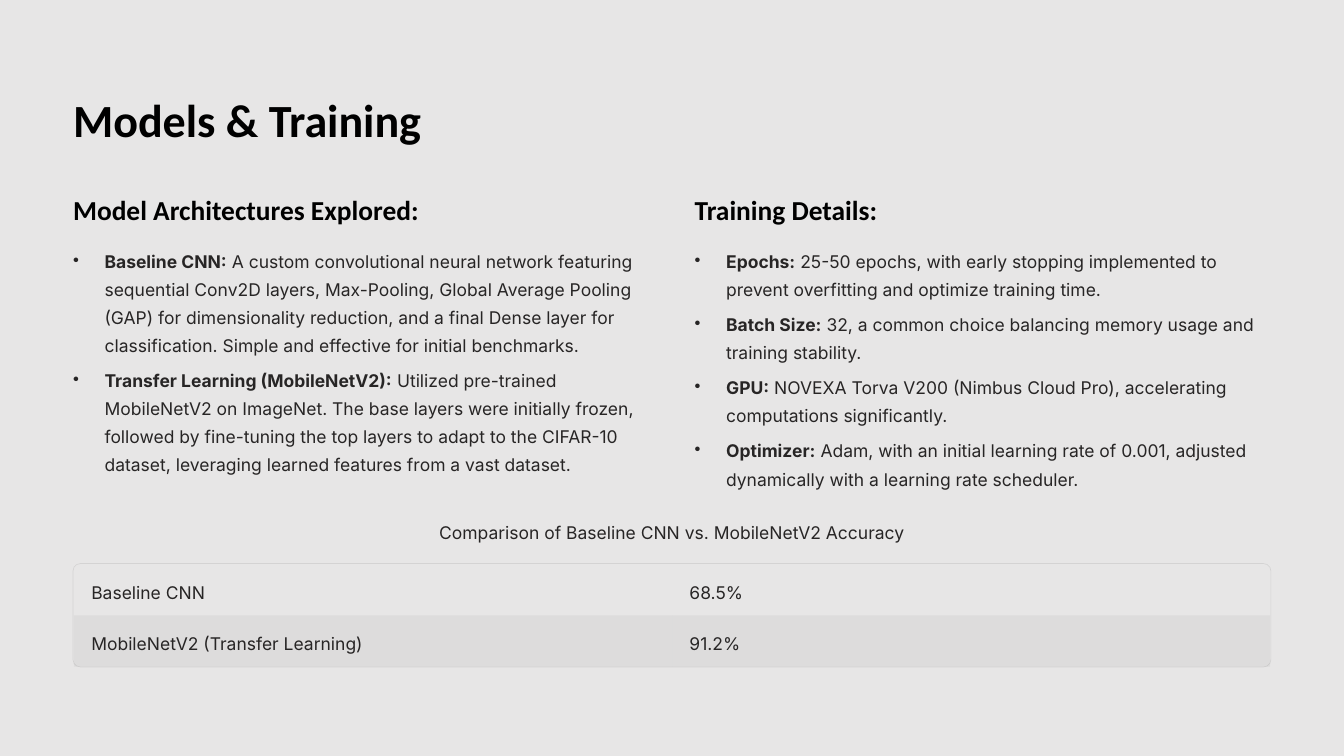
from dataclasses import dataclass

from lxml.etree import SubElement
from pptx import Presentation
from pptx.dml.color import RGBColor
from pptx.enum.shapes import MSO_SHAPE
from pptx.enum.text import MSO_ANCHOR, PP_ALIGN
from pptx.oxml.ns import qn
from pptx.slide import Slide
from pptx.text.text import TextFrame, _Paragraph
from pptx.util import Pt


@dataclass(frozen=True)
class TextStyle:
    name: str
    size: float
    color: str
    leading: float
    bold: bool = False


@dataclass(frozen=True)
class Theme:
    background: str = "E7E6E6"
    black: str = "000000"
    white: str = "FFFFFF"
    title: TextStyle = TextStyle("Calibri", 39.5, "000000", 49.5, True)
    heading: TextStyle = TextStyle("Calibri", 23.5, "000000", 29.5, True)
    body: TextStyle = TextStyle("Inter", 15, "272525", 24)


@dataclass(frozen=True)
class Box:
    left: float
    top: float
    width: float
    height: float

    def emu(self) -> tuple:
        return tuple(Pt(v) for v in (self.left, self.top, self.width, self.height))


@dataclass(frozen=True)
class Item:
    label: str
    detail: str


@dataclass(frozen=True)
class Column:
    left: float
    heading: str
    items: tuple


THEME = Theme()
LEFT = 62.64
CONTENT_WIDTH = 1026.72
COLUMN_WIDTH = 494.64
INDENT = 27
ITEM_GAP = 6
ROW_HEIGHT = 43.8
CELL_MARGINS = {"margin_left": Pt(15), "margin_right": Pt(15),
                "margin_top": Pt(9.5), "margin_bottom": Pt(9)}

COLUMNS = (
    Column(LEFT, "Model Architectures Explored:", (
        Item("Baseline CNN:", " A custom convolutional neural network featuring sequential "
             "Conv2D layers, Max-Pooling, Global Average Pooling (GAP) for dimensionality "
             "reduction, and a final Dense layer for classification. Simple and effective "
             "for initial benchmarks."),
        Item("Transfer Learning (MobileNetV2):", " Utilized pre-trained MobileNetV2 on "
             "ImageNet. The base layers were initially frozen, followed by fine-tuning the "
             "top layers to adapt to the CIFAR-10 dataset, leveraging learned features from "
             "a vast dataset."),
    )),
    Column(595.44, "Training Details:", (
        Item("Epochs:", " 25-50 epochs, with early stopping implemented to prevent "
             "overfitting and optimize training time."),
        Item("Batch Size:", " 32, a common choice balancing memory usage and training "
             "stability."),
        Item("GPU:", " NOVEXA Torva V200 (Nimbus Cloud Pro), accelerating computations "
             "significantly."),
        Item("Optimizer:", " Adam, with an initial learning rate of 0.001, adjusted "
             "dynamically with a learning rate scheduler."),
    )),
)
ACCURACY = (("Baseline CNN", "68.5%"), ("MobileNetV2 (Transfer Learning)", "91.2%"))


def set_all(target: object, values: dict) -> None:
    for name, value in values.items():
        setattr(target, name, value)


def add_run(p: _Paragraph, text: str, style: TextStyle, bold: bool) -> None:
    r = p.add_run()
    r.text = text
    set_all(r.font, {"name": style.name, "size": Pt(style.size), "bold": bold})
    r.font.color.rgb = RGBColor.from_string(style.color)


def write_line(p: _Paragraph, text: str, style: TextStyle,
               align: PP_ALIGN = PP_ALIGN.LEFT) -> None:
    set_all(p, {"alignment": align, "line_spacing": Pt(style.leading)})
    add_run(p, text, style, style.bold)


def add_frame(s: Slide, box: Box) -> TextFrame:
    tf = s.shapes.add_textbox(*box.emu()).text_frame
    set_all(tf, {"word_wrap": True, "margin_left": 0, "margin_right": 0,
                 "margin_top": 0, "margin_bottom": 0})
    return tf


def add_bullets(s: Slide, box: Box, items: tuple) -> None:
    tf = add_frame(s, box)
    for i, item in enumerate(items):
        p = tf.add_paragraph() if i else tf.paragraphs[0]
        pPr = p._p.get_or_add_pPr()
        pPr.set("marL", str(Pt(INDENT)))
        pPr.set("indent", str(-Pt(INDENT)))
        SubElement(pPr, qn("a:buChar"), char="•")
        set_all(p, {"line_spacing": Pt(THEME.body.leading),
                    "space_before": Pt(ITEM_GAP if i else 0)})
        add_run(p, item.label, THEME.body, True)
        add_run(p, item.detail, THEME.body, False)


def set_alpha(parent, percent: int) -> None:
    """Make the solid colour below an XML element partly transparent."""
    color = next(parent.iter(qn("a:srgbClr")))
    SubElement(color, qn("a:alpha"), val=str(percent * 1000))


def add_table_outline(s: Slide, box: Box) -> None:
    sp = s.shapes.add_shape(MSO_SHAPE.ROUNDED_RECTANGLE, *box.emu())
    sp.adjustments[0] = 0.07
    sp.shadow.inherit = False
    sp.fill.background()
    sp.line.width = Pt(0.6)
    sp.line.color.rgb = RGBColor.from_string(THEME.black)
    set_alpha(sp.line._get_or_add_ln(), 8)


def add_accuracy_table(s: Slide, box: Box) -> None:
    table = s.shapes.add_table(len(ACCURACY), len(ACCURACY[0]), *box.emu()).table
    set_all(table, {"first_row": False, "horz_banding": False})
    for i, (values, tint) in enumerate(zip(ACCURACY, (THEME.white, THEME.black))):
        for j, value in enumerate(values):
            cell = table.cell(i, j)
            set_all(cell, {**CELL_MARGINS, "vertical_anchor": MSO_ANCHOR.TOP})
            tcPr = cell._tc.get_or_add_tcPr()
            for side in ("lnL", "lnR", "lnT", "lnB"):
                SubElement(SubElement(tcPr, qn(f"a:{side}"), w="0"), qn("a:noFill"))
            cell.fill.solid()
            cell.fill.fore_color.rgb = RGBColor.from_string(tint)
            set_alpha(tcPr, 4)
            write_line(cell.text_frame.paragraphs[0], value, THEME.body)


def main() -> None:
    prs = Presentation()
    set_all(prs, {"slide_width": Pt(1152), "slide_height": Pt(648)})
    s = prs.slides.add_slide(prs.slide_layouts[6])
    s.background.fill.solid()
    s.background.fill.fore_color.rgb = RGBColor.from_string(THEME.background)

    title = add_frame(s, Box(LEFT, 76.32, 398, 49.68))
    write_line(title.paragraphs[0], "Models & Training", THEME.title)
    for column in COLUMNS:
        heading = add_frame(s, Box(column.left, 164.16, 334, 29.52))
        write_line(heading.paragraphs[0], column.heading, THEME.heading)
        add_bullets(s, Box(column.left, 209.52, COLUMN_WIDTH, 210), column.items)

    caption = add_frame(s, Box(LEFT, 441.36, CONTENT_WIDTH, 24.48))
    write_line(caption.paragraphs[0], "Comparison of Baseline CNN vs. MobileNetV2 Accuracy",
               THEME.body, PP_ALIGN.CENTER)
    add_table_outline(s, Box(LEFT, 483.12, CONTENT_WIDTH, 88.56))
    add_accuracy_table(s, Box(LEFT + 0.6, 483.7, CONTENT_WIDTH - 1.2,
                              ROW_HEIGHT * len(ACCURACY)))
    prs.save("out.pptx")


if __name__ == "__main__":
    main()
